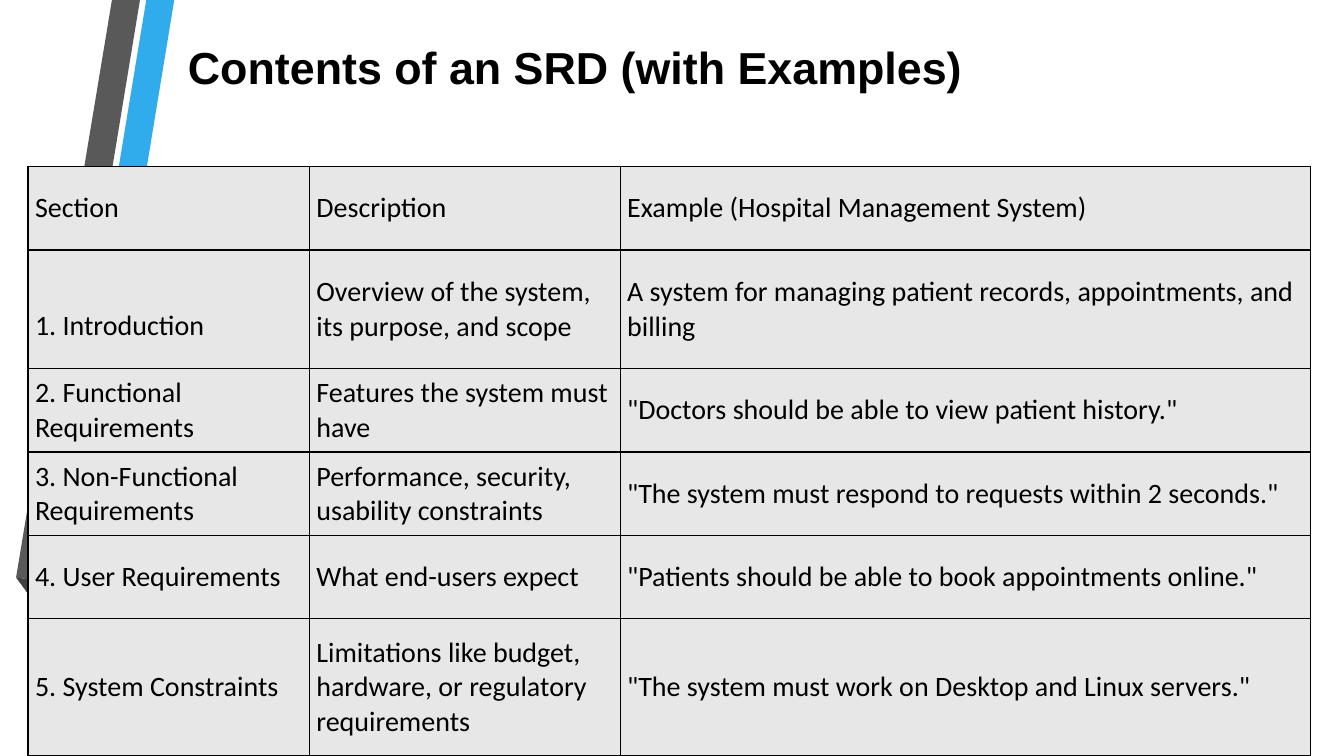
from dataclasses import dataclass

from lxml import etree
from pptx import Presentation
from pptx.dml.color import RGBColor
from pptx.enum.text import MSO_ANCHOR, MSO_AUTO_SIZE, PP_ALIGN
from pptx.oxml.ns import qn
from pptx.util import Pt

LEFT = PP_ALIGN.LEFT
TOP = MSO_ANCHOR.TOP
MIDDLE = MSO_ANCHOR.MIDDLE
NO_AUTOFIT = MSO_AUTO_SIZE.NONE
TITLE_ONLY = 5


@dataclass(frozen=True)
class Theme:
    text: str = "000000"
    border: str = "000000"
    cell: str = "E7E7E7"
    blue: str = "30ACEC"
    blue_fold: str = "1287C3"
    blue_edge: str = "0C5A82"
    gray: str = "595959"
    gray_fold: str = "404040"
    gray_edge: str = "262626"
    title_font: str = "Arial"
    body_font: str = "Calibri"
    title_size: int = 32
    body_size: int = 20


class SlideBuilder:
    def __init__(self, slide, theme):
        self.slide = slide
        self.theme = theme

    def style_font(self, paragraph, name, size, bold=False):
        paragraph.alignment = LEFT
        paragraph.font.name = name
        paragraph.font.size = Pt(size)
        paragraph.font.bold = bold
        paragraph.font.color.rgb = RGBColor.from_string(self.theme.text)

    def ribbon(self, points, color):
        corners = [(Pt(x), Pt(y)) for x, y in points]
        outline = self.slide.shapes.build_freeform(*corners[0], scale=1.0)
        outline.add_line_segments(corners[1:], close=True)
        shape = outline.convert_to_shape()
        shape.shadow.inherit = False
        shape.fill.solid()
        shape.fill.fore_color.rgb = RGBColor.from_string(color)
        shape.line.fill.background()

    def title(self, text, left, top, width, height):
        shape = self.slide.shapes.title
        shape.left, shape.top = Pt(left), Pt(top)
        shape.width, shape.height = Pt(width), Pt(height)
        frame = shape.text_frame
        frame.text = text
        frame.word_wrap = True
        frame.auto_size = NO_AUTOFIT
        frame.vertical_anchor = TOP
        frame.margin_top = Pt(5.7)
        self.style_font(frame.paragraphs[0], self.theme.title_font,
                        self.theme.title_size, bold=True)

    def cell_borders(self, cell):
        properties = cell._tc.get_or_add_tcPr()
        for side in ("a:lnL", "a:lnR", "a:lnT", "a:lnB"):
            line = etree.SubElement(properties, qn(side), w=str(Pt(1)))
            fill = etree.SubElement(line, qn("a:solidFill"))
            etree.SubElement(fill, qn("a:srgbClr"), val=self.theme.border)

    def table(self, rows, left, top, widths, heights):
        frame = self.slide.shapes.add_table(
            len(rows), len(widths), Pt(left), Pt(top),
            Pt(sum(widths)), Pt(sum(heights)))
        table = frame.table
        table.first_row = table.horz_banding = False
        for column, width in zip(table.columns, widths):
            column.width = Pt(width)
        for row, height, texts in zip(table.rows, heights, rows):
            row.height = Pt(height)
            for cell, text in zip(row.cells, texts):
                self.cell_borders(cell)
                cell.fill.solid()
                cell.fill.fore_color.rgb = RGBColor.from_string(self.theme.cell)
                cell.vertical_anchor = MIDDLE
                cell.margin_left = cell.margin_right = Pt(5)
                cell.margin_top = cell.margin_bottom = Pt(3)
                cell.text = text
                self.style_font(cell.text_frame.paragraphs[0],
                                self.theme.body_font, self.theme.body_size)
        return table


SECTIONS = [
    ("Section", "Description", "Example (Hospital Management System)"),
    ("1. Introduction", "Overview of the system, its purpose, and scope",
     "A system for managing patient records, appointments, and billing"),
    ("2. Functional Requirements", "Features the system must have",
     '"Doctors should be able to view patient history."'),
    ("3. Non-Functional Requirements",
     "Performance, security, usability constraints",
     '"The system must respond to requests within 2 seconds."'),
    ("4. User Requirements", "What end-users expect",
     '"Patients should be able to book appointments online."'),
    ("5. System Constraints",
     "Limitations like budget, hardware, or regulatory requirements",
     '"The system must work on Desktop and Linux servers."'),
]


def main():
    presentation = Presentation()
    presentation.slide_width, presentation.slide_height = Pt(960), Pt(540)
    slide = presentation.slides.add_slide(presentation.slide_layouts[TITLE_ONLY])
    theme = Theme()
    builder = SlideBuilder(slide, theme)

    # Folded ribbons on the left edge
    ribbons = [
        ([(36, 416), (55.5, 420), (124.5, 0), (104.5, 0)], theme.blue),
        ([(100, 0), (80, 0), (11.5, 412.5), (31.5, 415.5)], theme.gray),
        ([(11.5, 412.5), (104.5, 540), (108.5, 540)], theme.gray_edge),
        ([(36, 417), (150, 540), (154, 540)], theme.blue_edge),
        ([(36, 416), (154, 540), (204, 540), (55.5, 420)], theme.blue_fold),
        ([(145.5, 540), (34.5, 420), (31.5, 415.5), (11.5, 412.5),
          (108.5, 540)], theme.gray_fold),
    ]
    for points, color in ribbons:
        builder.ribbon(points, color)

    # Title
    builder.title("Contents of an SRD (with Examples)", 127, 22.3, 637, 85)

    # Table of sections, with the introduction label set one line lower
    table = builder.table(SECTIONS, 20, 119, [201, 222, 493],
                          [59.6, 84.7, 59.6, 59.6, 59.6, 97.9])
    table.cell(1, 0).margin_top = Pt(27.4)

    presentation.save("out.pptx")


if __name__ == "__main__":
    main()
